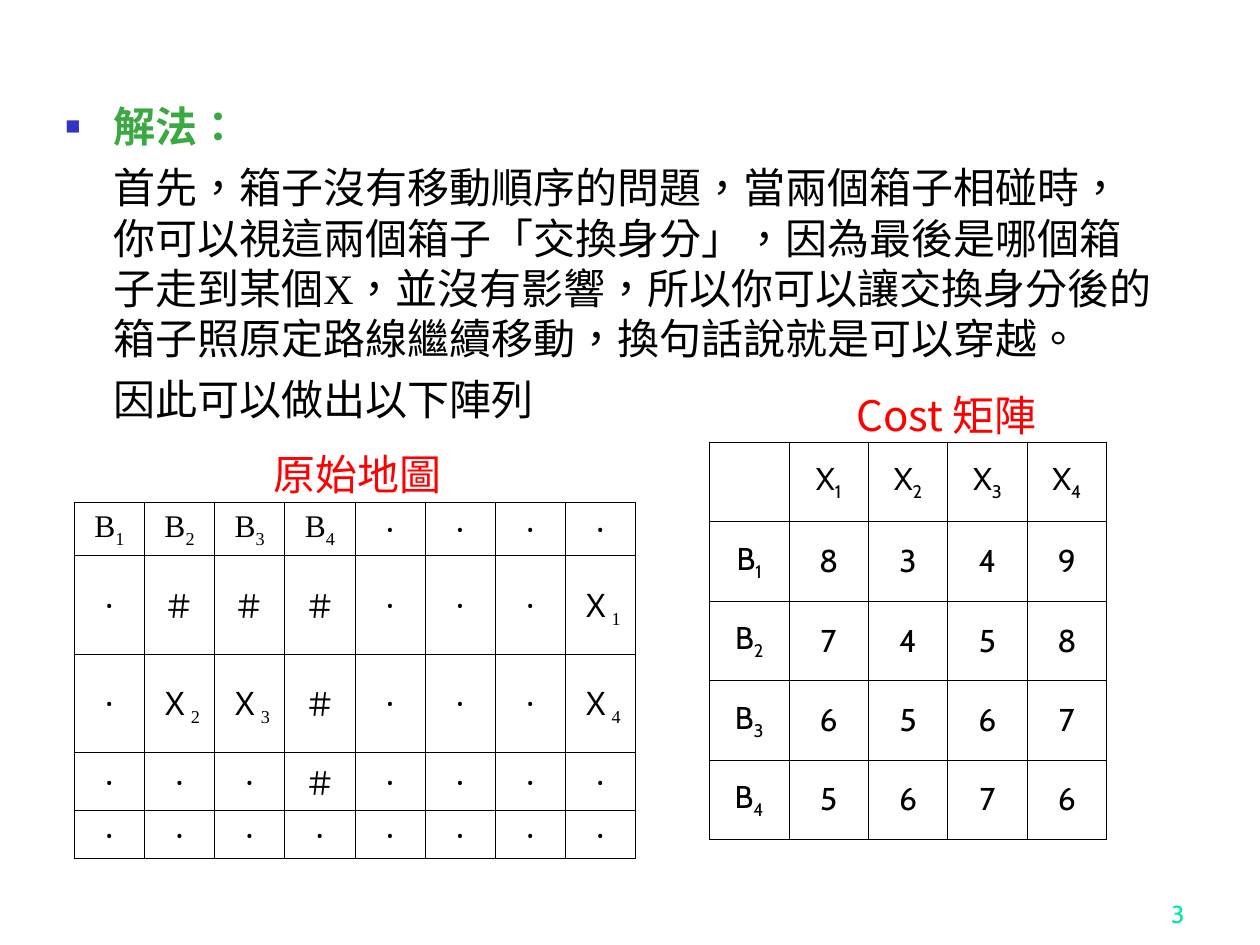
from lxml.etree import SubElement
from pptx import Presentation
from pptx.dml.color import RGBColor
from pptx.enum.text import MSO_ANCHOR, PP_ALIGN
from pptx.oxml.ns import qn
from pptx.util import Pt

COLORS = {"heading": "3BA943", "bullet": "3333CC", "text": "000000",
          "caption": "FF0000", "number": "00E4A8", "cell": "FFFFFF"}
SERIF, SANS, CJK = "Times New Roman", "Cabin", "Noto Sans CJK SC"

BODY = [
    "解法：",
    "首先，箱子沒有移動順序的問題，當兩個箱子相碰時，你可以視這兩個箱子「交換身分」，"
    "因為最後是哪個箱子走到某個X，並沒有影響，所以你可以讓交換身分後的箱子照原定路線繼續移動，"
    "換句話說就是可以穿越。",
    "因此可以做出以下陣列",
]
# An underscore marks the start of a subscript.
COST = [
    ["", "X_1", "X_2", "X_3", "X_4"],
    ["B_1", "8", "3", "4", "9"],
    ["B_2", "7", "4", "5", "8"],
    ["B_3", "6", "5", "6", "7"],
    ["B_4", "5", "6", "7", "6"],
]
MAP = [row.split() for row in (
    "B_1 B_2 B_3 B_4 ‧ ‧ ‧ ‧",
    "‧ ＃ ＃ ＃ ‧ ‧ ‧ Ｘ_1",
    "‧ Ｘ_2 Ｘ_3 ＃ ‧ ‧ ‧ Ｘ_4",
    "‧ ‧ ‧ ＃ ‧ ‧ ‧ ‧",
    "‧ ‧ ‧ ‧ ‧ ‧ ‧ ‧",
)]
# left, top, column width, row heights, font, cells
TABLES = [
    (405.4, 252.7, 45.4, [45.4] * 5, SANS, COST),
    (42.5, 287.3, 40.1, [30.2, 56.2, 56.2, 33.4, 27.4], SERIF, MAP),
]
# text, box, size, font, colour, alignment, anchor
LABELS = [
    ("3", (534.2, 498.2, 149.8, 36), 14, SANS, "number", PP_ALIGN.RIGHT, MSO_ANCHOR.BOTTOM),
    ("原始地圖", (144.7, 252.7, 118.8, 36), 24, CJK, "caption", PP_ALIGN.CENTER, MSO_ANCHOR.TOP),
    ("Cost 矩陣", (473, 218.9, 136.1, 64.8), 24, CJK, "caption", PP_ALIGN.CENTER, MSO_ANCHOR.TOP),
]


def add_run(p, text, size, font, color, **fmt):
    r = p.add_run()
    r.text = text
    for name, value in {"size": Pt(size), "name": font, **fmt}.items():
        setattr(r.font, name, value)
    r.font.color.rgb = RGBColor.from_string(COLORS[color])
    rPr = r.font._element
    rPr.set("lang", "zh-TW")
    latin = rPr.find(qn("a:latin"))
    ea = SubElement(rPr, qn("a:ea"), typeface=CJK)
    latin.addnext(ea)
    return r


def set_bullet(p, hanging):
    """Indent the paragraph; hang a square bullet if asked."""
    pPr = p._p.get_or_add_pPr()
    pPr.set("marL", str(Pt(27.4)))
    pPr.set("indent", str(-Pt(27.4) if hanging else 0))
    if not hanging:
        SubElement(pPr, qn("a:buNone"))
        return
    color = SubElement(pPr, qn("a:buClr"))
    SubElement(color, qn("a:srgbClr"), val=COLORS["bullet"])
    SubElement(pPr, qn("a:buSzPct"), val="60000")
    SubElement(pPr, qn("a:buFont"), typeface=SERIF)
    SubElement(pPr, qn("a:buChar"), char="■")


def set_borders(cell):
    tcPr = cell._tc.get_or_add_tcPr()
    for i, side in enumerate(("lnL", "lnR", "lnT", "lnB")):
        ln = tcPr.makeelement(qn(f"a:{side}"), {"w": str(Pt(0.45))})
        fill = SubElement(ln, qn("a:solidFill"))
        SubElement(fill, qn("a:srgbClr"), val=COLORS["text"])
        tcPr.insert(i, ln)


def add_body(slide):
    sp = slide.placeholders[1]
    sp.left, sp.top, sp.width, sp.height = map(Pt, (30.2, 54, 635.8, 442.8))
    tf = sp.text_frame
    tf.word_wrap = True
    tf.vertical_anchor = MSO_ANCHOR.TOP
    for i, text in enumerate(BODY):
        p = tf.paragraphs[0] if i == 0 else tf.add_paragraph()
        set_bullet(p, i == 0)
        p.line_spacing = Pt(28.8)
        p.space_before = Pt(6 if i else 0)
        add_run(p, text, 24, SERIF, "text" if i else "heading", bold=i == 0)


def add_grid(slide, left, top, col_width, heights, font, rows):
    n_cols = len(rows[0])
    table = slide.shapes.add_table(
        len(rows), n_cols, Pt(left), Pt(top), Pt(col_width * n_cols), Pt(sum(heights))).table
    table.first_row = table.horz_banding = False
    for col in table.columns:
        col.width = Pt(col_width)
    for r, (height, row) in enumerate(zip(heights, rows)):
        table.rows[r].height = Pt(height)
        for c, text in enumerate(row):
            cell = table.cell(r, c)
            cell.vertical_anchor = MSO_ANCHOR.MIDDLE
            cell.fill.solid()
            cell.fill.fore_color.rgb = RGBColor.from_string(COLORS["cell"])
            set_borders(cell)
            p = cell.text_frame.paragraphs[0]
            p.alignment = PP_ALIGN.CENTER
            base, _, sub = text.partition("_")
            if base:
                add_run(p, base, 18, font, "text")
            if sub:
                add_run(p, sub, 18, font, "text").font._element.set("baseline", "-25000")


def add_label(slide, text, box, size, font, color, align, anchor):
    tf = slide.shapes.add_textbox(*map(Pt, box)).text_frame
    tf.word_wrap = True
    tf.vertical_anchor = anchor
    p = tf.paragraphs[0]
    p.alignment = align
    add_run(p, text, size, font, color)


def main():
    prs = Presentation()
    prs.slide_width, prs.slide_height = Pt(720), Pt(540)
    slide = prs.slides.add_slide(prs.slide_layouts[1])
    title = slide.shapes.title._element
    title.getparent().remove(title)
    add_body(slide)
    for table in TABLES:
        add_grid(slide, *table)
    for label in LABELS:
        add_label(slide, *label)
    prs.save("out.pptx")


if __name__ == "__main__":
    main()
